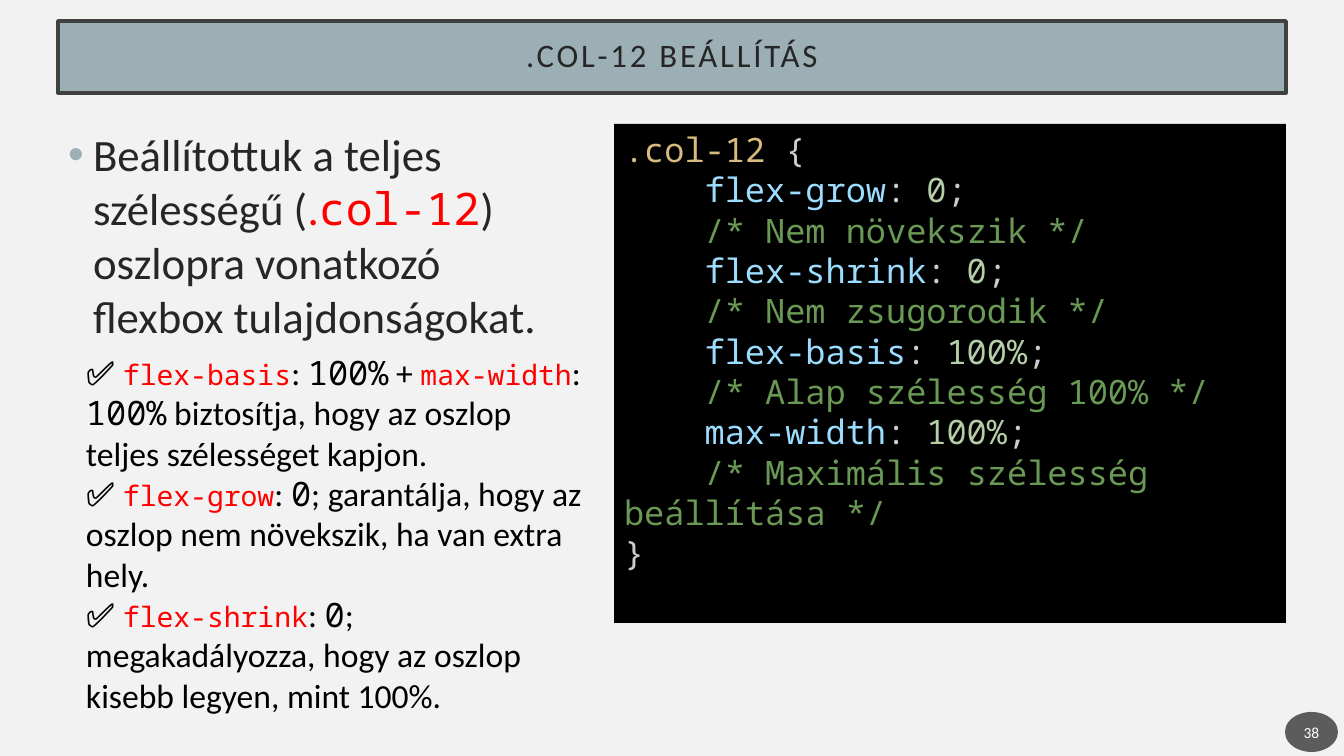
from lxml.etree import SubElement
from pptx import Presentation
from pptx.dml.color import RGBColor
from pptx.enum.shapes import MSO_SHAPE
from pptx.enum.text import MSO_ANCHOR, MSO_AUTO_SIZE, PP_ALIGN
from pptx.oxml.ns import qn
from pptx.util import Pt

EMU_PER_PX = 914400 / 100.8

BACKGROUND = RGBColor(0xF2, 0xF2, 0xF2)
ACCENT = RGBColor(0x9B, 0xAF, 0xB5)
FRAME = RGBColor(0x40, 0x40, 0x40)
INK = RGBColor(0x26, 0x26, 0x26)
BADGE = RGBColor(0x1D, 0x1D, 0x1D)
BLACK = RGBColor(0x00, 0x00, 0x00)
WHITE = RGBColor(0xFF, 0xFF, 0xFF)
RED = RGBColor(0xFF, 0x00, 0x00)
SELECTOR = RGBColor(0xD7, 0xBA, 0x7D)
PUNCTUATION = RGBColor(0xCC, 0xCC, 0xCC)
PROPERTY = RGBColor(0x9C, 0xDC, 0xFE)
NUMBER = RGBColor(0xB5, 0xCE, 0xA8)
COMMENT = RGBColor(0x6A, 0x99, 0x55)

SANS = "Calibri"
MONO = "Noto Sans Mono"


def px(length):
    return round(length * EMU_PER_PX)


def set_font(font, size=None, name=None, color=None):
    if size:
        font.size = Pt(size)
    if name:
        font.name = name
    if color is not None:
        font.color.rgb = color


class SlideBuilder:
    def __init__(self, presentation):
        self.slide = presentation.slides.add_slide(presentation.slide_layouts[5])
        self.slide.background.fill.solid()
        self.slide.background.fill.fore_color.rgb = BACKGROUND

    def frame(self, shape, anchor=MSO_ANCHOR.TOP, inset=(10, 5)):
        frame = shape.text_frame
        frame.word_wrap = True
        frame.auto_size = MSO_AUTO_SIZE.NONE
        frame.vertical_anchor = anchor
        frame.margin_left = frame.margin_right = px(inset[0])
        frame.margin_top = frame.margin_bottom = px(inset[1])
        return frame

    def add_runs(self, paragraph, runs, align=PP_ALIGN.LEFT, **common):
        """Each run is (text, font settings); common settings go on the paragraph."""
        paragraph.alignment = align
        set_font(paragraph.font, **common)
        for text, settings in runs:
            run = paragraph.add_run()
            run.text = text
            set_font(run.font, **settings)

    def add_paragraphs(self, frame, paragraphs, **common):
        for index, runs in enumerate(paragraphs):
            paragraph = frame.add_paragraph() if index else frame.paragraphs[0]
            self.add_runs(paragraph, runs, **common)

    def title(self, text, left, top, width, height):
        title = self.slide.shapes.title
        title.left, title.top, title.width, title.height = map(px, (left, top, width, height))
        title.fill.solid()
        title.fill.fore_color.rgb = ACCENT
        title.line.color.rgb = FRAME
        title.line.width = Pt(2.5)
        paragraph = self.frame(title, MSO_ANCHOR.MIDDLE, (20, 20)).paragraphs[0]
        paragraph.line_spacing = 0.9
        self.add_runs(paragraph, [(text, {})], PP_ALIGN.CENTER, size=23.4, name=SANS, color=INK)
        paragraph.runs[0].font._element.set("spc", "200")

    def text_box(self, left, top, width, height):
        return self.frame(self.slide.shapes.add_textbox(*map(px, (left, top, width, height))))

    def bullet(self, runs, left, top, width, height, **common):
        paragraph = self.text_box(left, top, width, height).paragraphs[0]
        properties = paragraph._p.get_or_add_pPr()
        properties.set("marL", str(px(25)))
        properties.set("indent", str(-px(25)))
        color = SubElement(properties, qn("a:buClr"))
        SubElement(color, qn("a:srgbClr"), val=str(ACCENT))
        SubElement(properties, qn("a:buFont"), typeface="Arial")
        SubElement(properties, qn("a:buChar"), char="•")
        self.add_runs(paragraph, runs, **common)

    def notes(self, paragraphs, left, top, width, height):
        self.add_paragraphs(self.text_box(left, top, width, height), paragraphs)

    def filled(self, kind, color, left, top, width, height):
        shape = self.slide.shapes.add_shape(kind, *map(px, (left, top, width, height)))
        shape.shadow.inherit = False
        shape.fill.solid()
        shape.fill.fore_color.rgb = color
        shape.line.fill.background()
        return shape

    def code(self, lines, left, top, width, height):
        panel = self.filled(MSO_SHAPE.RECTANGLE, BLACK, left, top, width, height)
        self.add_paragraphs(self.frame(panel), lines, size=24, name=MONO)

    def page_badge(self, number, left, top, width, height):
        badge = self.filled(MSO_SHAPE.OVAL, BADGE, left, top, width, height)
        color = badge._element.spPr.find(qn("a:solidFill"))[0]
        SubElement(color, qn("a:alpha"), val="70000")
        paragraph = self.frame(badge, MSO_ANCHOR.MIDDLE, (2, 5)).paragraphs[0]
        self.add_runs(paragraph, [(number, {})], PP_ALIGN.CENTER, size=11, name=SANS, color=WHITE)


def colored(*parts):
    return [(text, {"color": color}) for text, color in parts]


def css_rule(selector, declarations):
    indent = " " * 4
    lines = [colored((selector, SELECTOR), (" {", PUNCTUATION))]
    for name, value, comment in declarations:
        lines.append(colored((indent, PUNCTUATION), (name, PROPERTY), (": ", PUNCTUATION),
                             (value, NUMBER), (";", PUNCTUATION)))
        lines.append(colored((indent, PUNCTUATION), (f"/* {comment} */", COMMENT)))
    return lines + [colored(("}", PUNCTUATION))]


def main():
    presentation = Presentation()
    presentation.slide_width, presentation.slide_height = px(1344), px(756)
    builder = SlideBuilder(presentation)

    # Title bar
    builder.title(".COL-12 BEÁLLÍTÁS", 58, 21, 1228, 72)

    # Main statement
    plain = {"name": SANS, "color": INK}
    builder.bullet([
        ("Beállítottuk a teljes szélességű (", plain),
        (".", {"name": SANS, "color": RED}),
        ("col-12", {"name": MONO, "color": RED}),
        (") oszlopra vonatkozó flexbox tulajdonságokat.", plain),
    ], 58, 122, 520, 225, size=32)

    # Page number
    builder.page_badge("38", 1285, 712, 53, 40)

    # Code panel
    builder.code(css_rule(".col-12", [
        ("flex-grow", "0", "Nem növekszik"),
        ("flex-shrink", "0", "Nem zsugorodik"),
        ("flex-basis", "100%", "Alap szélesség 100%"),
        ("max-width", "100%", "Maximális szélesség beállítása"),
    ]), 614, 124, 672, 499)

    # Explanations
    words = {"size": 24, "name": SANS, "color": BLACK}
    value = {"size": 24, "name": MONO, "color": BLACK}
    keyword = {"size": 20, "name": MONO, "color": RED}
    builder.notes([
        [("✅ ", words), ("flex-basis", keyword), (": ", words), ("100%", value),
         (" + ", words), ("max-width", keyword), (": ", words), ("100%", value),
         (" biztosítja, hogy az oszlop teljes szélességet kapjon.", words)],
        [("✅ ", words), ("flex-grow", keyword), (": ", words), ("0", value),
         ("; garantálja, hogy az oszlop nem növekszik, ha van extra hely.", words)],
        [("✅ ", words), ("flex-shrink", keyword), (": ", words), ("0", value),
         ("; megakadályozza, hogy az oszlop kisebb legyen, mint 100%.", words)],
    ], 76, 347, 520, 377)

    presentation.save("out.pptx")


if __name__ == "__main__":
    main()
